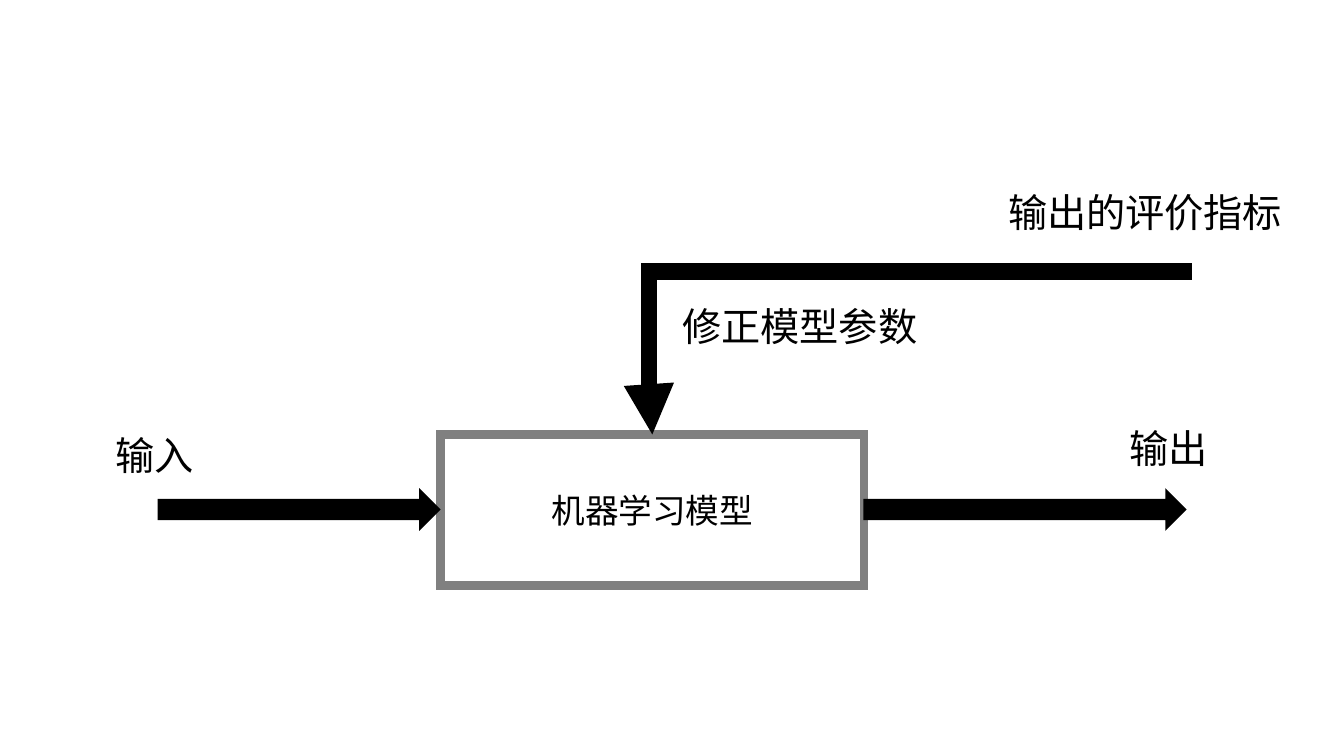
from dataclasses import dataclass

from lxml import etree
from pptx import Presentation
from pptx.dml.color import RGBColor
from pptx.enum.shapes import MSO_CONNECTOR, MSO_SHAPE
from pptx.enum.text import MSO_ANCHOR, MSO_AUTO_SIZE, PP_ALIGN
from pptx.dml.line import LineFormat
from pptx.oxml.ns import qn
from pptx.slide import Slide
from pptx.text.text import TextFrame
from pptx.util import Inches, Pt

RECTANGLE = MSO_SHAPE.RECTANGLE
RIGHT_ARROW = MSO_SHAPE.RIGHT_ARROW
ELBOW = MSO_CONNECTOR.ELBOW
MIDDLE = MSO_ANCHOR.MIDDLE
CENTER = PP_ALIGN.CENTER
GROW = MSO_AUTO_SIZE.SHAPE_TO_FIT_TEXT


@dataclass(frozen=True)
class Theme:
    font: str = "Noto Sans CJK SC"
    ink: RGBColor = RGBColor(0, 0, 0)
    paper: RGBColor = RGBColor(0xFF, 0xFF, 0xFF)
    border: RGBColor = RGBColor(0x80, 0x80, 0x80)
    label_size: int = 28
    model_size: int = 24


@dataclass(frozen=True)
class Block:
    shape: MSO_SHAPE
    left: float
    top: float
    width: float
    height: float
    fill: RGBColor
    line: RGBColor
    line_width: float
    text: str = ""


@dataclass(frozen=True)
class Label:
    text: str
    left: float
    top: float
    width: float


THEME = Theme()
MODEL_LEFT, MODEL_TOP, MODEL_WIDTH = 4.37, 4.31, 4.2
ARROW_TOP, ARROW_HEIGHT = 4.86, 0.39
LABEL_HEIGHT = 0.57

BLOCKS = [
    Block(RECTANGLE, MODEL_LEFT, MODEL_TOP, MODEL_WIDTH, 1.5,
          THEME.paper, THEME.border, 6, "机器学习模型"),
    Block(RIGHT_ARROW, MODEL_LEFT + MODEL_WIDTH, ARROW_TOP, 3.19, ARROW_HEIGHT,
          THEME.ink, THEME.ink, 1),
    Block(RIGHT_ARROW, 1.57, ARROW_TOP, 2.79, ARROW_HEIGHT,
          THEME.ink, THEME.ink, 1),
]
LABELS = [
    Label("输入", 1.05, 4.23, 1.92),
    Label("输出", 11.1, 4.16, 1.92),
    Label("修正模型参数", 6.67, 2.95, 4.06),
    Label("输出的评价指标", 9.9, 1.82, 3.4),
]


def style_line(line: LineFormat, color: RGBColor, width: float) -> etree._Element:
    """Set a solid line with sharp corners and return its XML."""
    line.color.rgb = color
    line.width = Pt(width)
    ln = line._ln
    etree.SubElement(ln, qn("a:miter"), lim="800000")
    return ln


def write(frame: TextFrame, text: str, size: int) -> None:
    frame.word_wrap = True
    run = frame.paragraphs[0].add_run()
    run.text = text
    run.font.size = Pt(size)
    run.font.color.rgb = THEME.ink
    run.font.name = THEME.font
    etree.SubElement(run._r.get_or_add_rPr(), qn("a:ea"), typeface=THEME.font)


def draw_block(slide: Slide, block: Block) -> None:
    shape = slide.shapes.add_shape(
        block.shape, Inches(block.left), Inches(block.top),
        Inches(block.width), Inches(block.height))
    shape.shadow.inherit = False
    shape.fill.solid()
    shape.fill.fore_color.rgb = block.fill
    style_line(shape.line, block.line, block.line_width)
    if block.text:
        frame = shape.text_frame
        frame.vertical_anchor = MIDDLE
        frame.paragraphs[0].alignment = CENTER
        write(frame, block.text, THEME.model_size)


def draw_label(slide: Slide, label: Label) -> None:
    box = slide.shapes.add_textbox(
        Inches(label.left), Inches(label.top),
        Inches(label.width), Inches(LABEL_HEIGHT))
    write(box.text_frame, label.text, THEME.label_size)
    box.text_frame.auto_size = GROW


def draw_feedback(slide: Slide) -> None:
    feedback = slide.shapes.add_connector(
        ELBOW, Inches(11.82), Inches(2.69), Inches(6.47), Inches(MODEL_TOP))
    ln = style_line(feedback.line, THEME.ink, 12)
    etree.SubElement(ln, qn("a:tailEnd"), type="triangle")
    properties = feedback._element.spPr
    etree.SubElement(properties, qn("a:effectLst"))
    # Bend just past the end point so the arrow comes down on the model
    adjustments = properties.find(qn("a:prstGeom")).find(qn("a:avLst"))
    etree.SubElement(adjustments, qn("a:gd"), name="adj1", fmla="val 100600")


def main() -> None:
    deck = Presentation()
    deck.slide_width, deck.slide_height = Inches(13.33), Inches(7.5)
    slide = deck.slides.add_slide(deck.slide_layouts[6])
    slide.background.fill.solid()
    slide.background.fill.fore_color.rgb = THEME.paper

    # Model with its input and output arrows
    for block in BLOCKS:
        draw_block(slide, block)
    # Feedback path from the evaluation to the model
    draw_feedback(slide)
    # Captions
    for label in LABELS:
        draw_label(slide, label)

    deck.save("out.pptx")


if __name__ == "__main__":
    main()
